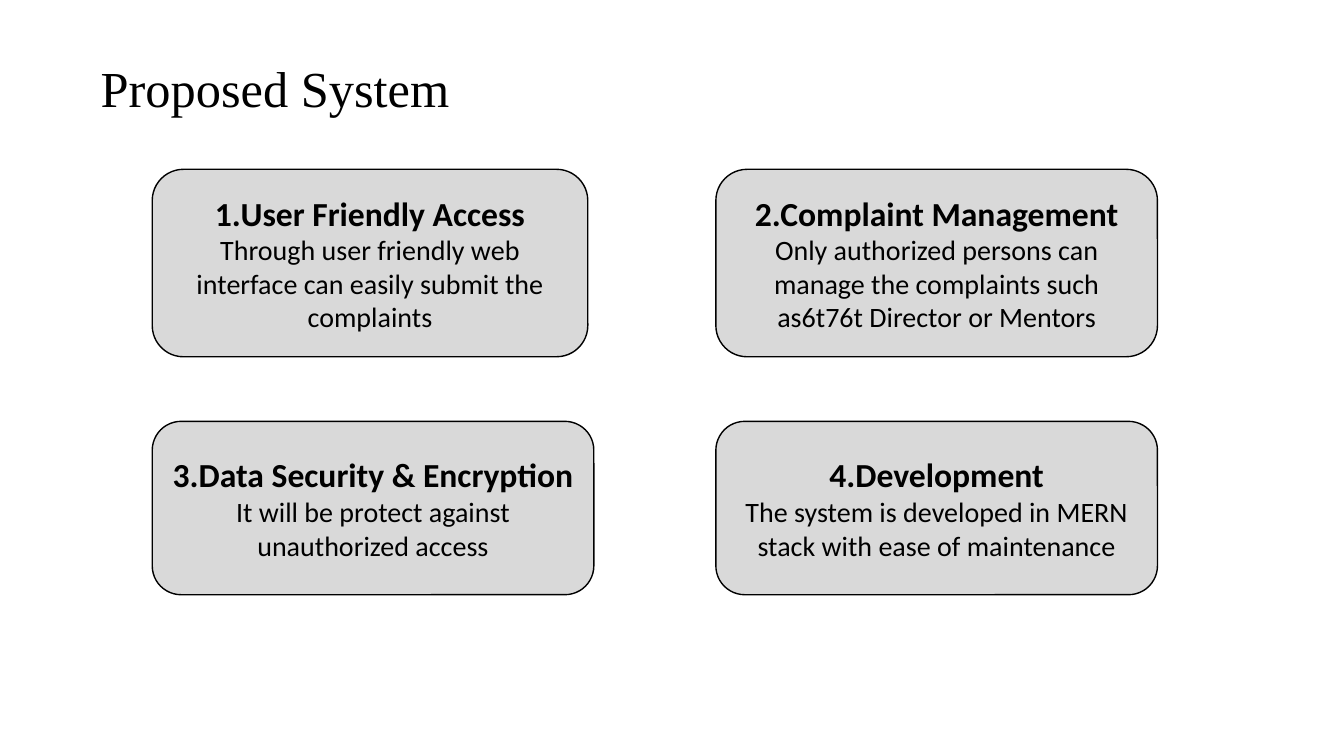
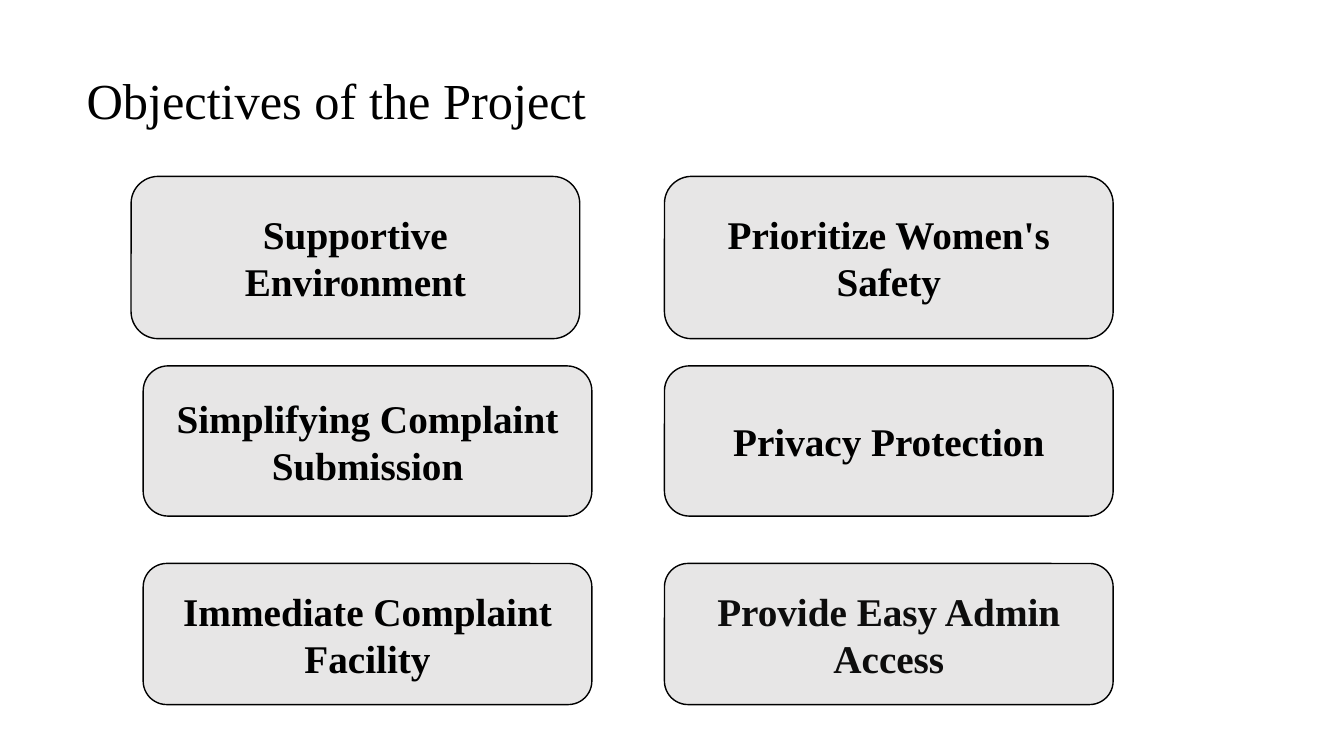
"""Build the proposed system and project objectives slides."""
import pptx
import pptx.dml.color
import pptx.enum.shapes
import pptx.enum.text
import pptx.util

Inches = pptx.util.Inches
Pt = pptx.util.Pt
RGBColor = pptx.dml.color.RGBColor

BLACK = RGBColor(0x00, 0x00, 0x00)
NEAR_BLACK = RGBColor(0x0D, 0x0D, 0x0D)
SYSTEM_GREY = RGBColor(0xD9, 0xD9, 0xD9)
OBJECTIVE_GREY = RGBColor(0xE7, 0xE6, 0xE6)
SERIF = "Times New Roman"
SANS = "Calibri"


def add_titled_slide(title, left, top, width):
    slide = deck.slides.add_slide(deck.slide_layouts[6])
    heading = slide.shapes.add_textbox(
        Inches(left), Inches(top), Inches(width), Inches(0.71))
    frame = heading.text_frame
    frame.word_wrap = True
    frame.auto_size = pptx.enum.text.MSO_AUTO_SIZE.SHAPE_TO_FIT_TEXT
    frame.text = title
    font = frame.paragraphs[0].font
    font.name, font.size, font.color.rgb = SERIF, Pt(36), BLACK
    return slide


def add_card(slide, box, fill, lines, face, color=BLACK):
    card = slide.shapes.add_shape(
        pptx.enum.shapes.MSO_SHAPE.ROUNDED_RECTANGLE,
        *[Inches(length) for length in box])
    card.shadow.inherit = False
    card.fill.solid()
    card.fill.fore_color.rgb = fill
    card.line.color.rgb = BLACK
    card.line.width = Pt(1)
    frame = card.text_frame
    frame.word_wrap = True
    frame.vertical_anchor = pptx.enum.text.MSO_ANCHOR.MIDDLE
    frame.text = "\n".join(text for text, size, bold in lines)
    for paragraph, (text, size, bold) in zip(frame.paragraphs, lines):
        paragraph.alignment = pptx.enum.text.PP_ALIGN.CENTER
        font = paragraph.font
        font.name, font.size, font.bold = face, Pt(size), bold
        font.color.rgb = color


deck = pptx.Presentation()
deck.slide_width = Inches(13.33)
deck.slide_height = Inches(7.5)

system = add_titled_slide("Proposed System", 0.9, 0.52, 10.08)
features = [
    (1.51, 1.68, 4.32, 1.86, "1.User Friendly Access",
     "Through user friendly web interface can easily submit the complaints"),
    (7.1, 1.68, 4.38, 1.86, "2.Complaint Management",
     "Only authorized persons can manage the complaints such as6t76t Director or Mentors"),
    (1.51, 4.18, 4.38, 1.72, "3.Data Security & Encryption",
     "It will be protect against unauthorized access"),
    (7.1, 4.18, 4.38, 1.72, "4.Development",
     "The system is developed in MERN stack with ease of maintenance"),
]
for *box, feature, detail in features:
    add_card(system, box, SYSTEM_GREY,
             [(feature, 24, True), (detail, 20, False)], SANS)

objectives = add_titled_slide("Objectives of the Project", 0.76, 0.64, 8.01)
objective_rows = [
    (1.75, 1.61, [(1.3, "Supportive Environment", BLACK),
                  (6.59, "Prioritize Women's Safety", BLACK)]),
    (3.63, 1.49, [(1.42, "Simplifying Complaint Submission", BLACK),
                  (6.59, "Privacy Protection", BLACK)]),
    (5.59, 1.4, [(1.42, "Immediate Complaint Facility", BLACK),
                 (6.59, "Provide Easy Admin Access", NEAR_BLACK)]),
]
for top, height, row in objective_rows:
    for left, objective, color in row:
        add_card(objectives, (left, top, 4.45, height), OBJECTIVE_GREY,
                 [(objective, 28, True)], SERIF, color)

deck.save("out.pptx")
